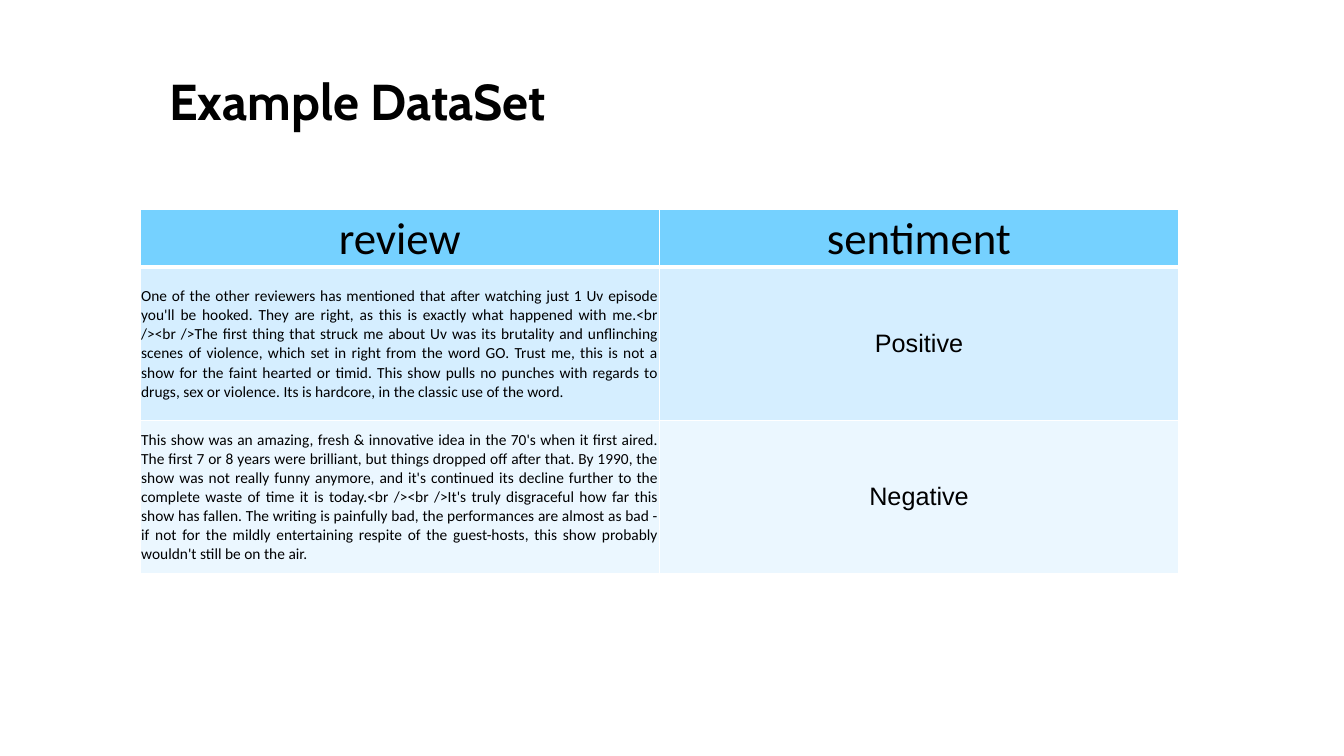
import dataclasses

import lxml.etree
import pptx
import pptx.dml.color
import pptx.enum.text
import pptx.oxml.ns
import pptx.slide
import pptx.table
import pptx.text.text
import pptx.util

Inches = pptx.util.Inches
Align = pptx.enum.text.PP_ALIGN
Anchor = pptx.enum.text.MSO_ANCHOR


@dataclasses.dataclass(frozen=True)
class Theme:
    ink: str = "000000"
    rule: str = "FFFFFF"
    header: str = "75D1FF"
    row_fills: tuple[str, ...] = ("D5EEFF", "EBF7FF")
    title_font: str = "Cabin"
    review_font: str = "Calibri"
    label_font: str = "Arial"
    title_size: int = 36
    header_size: int = 32
    review_size: int = 11
    label_size: int = 18
    thin_rule: int = 1
    thick_rule: int = 3


@dataclasses.dataclass(frozen=True)
class Grid:
    width: float = 13.33
    height: float = 7.5
    left: float = 1.39
    top: float = 2.08
    column: float = 5.15
    header_row: float = 0.57
    review_row: float = 1.52


@dataclasses.dataclass(frozen=True)
class Style:
    font: str
    size: int
    align: Align
    margins: tuple[float, float, float, float]
    bold: bool = False
    spacing: float | None = None


@dataclasses.dataclass(frozen=True)
class Example:
    review: str
    sentiment: str


THEME = Theme()
GRID = Grid()
TIGHT = (0.01, 0.01, 0.01, 0)
ROOMY = (0.1, 0.05, 0.1, 0.05)
TITLE = Style(THEME.title_font, THEME.title_size, Align.CENTER, ROOMY, True, 0.9)
HEADER = Style(THEME.review_font, THEME.header_size, Align.CENTER, TIGHT)
REVIEW = Style(THEME.review_font, THEME.review_size, Align.JUSTIFY, TIGHT)
LABEL = Style(THEME.label_font, THEME.label_size, Align.CENTER, ROOMY)

HEADINGS = ("review", "sentiment")
EXAMPLES = (
    Example(
        "One of the other reviewers has mentioned that after watching just 1 Uv episode "
        "you'll be hooked. They are right, as this is exactly what happened with me."
        "<br /><br />The first thing that struck me about Uv was its brutality and "
        "unflinching scenes of violence, which set in right from the word GO. Trust me, "
        "this is not a show for the faint hearted or timid. This show pulls no punches "
        "with regards to drugs, sex or violence. Its is hardcore, in the classic use of "
        "the word.",
        "Positive",
    ),
    Example(
        "This show was an amazing, fresh & innovative idea in the 70's when it first "
        "aired. The first 7 or 8 years were brilliant, but things dropped off after "
        "that. By 1990, the show was not really funny anymore, and it's continued its "
        "decline further to the complete waste of time it is today.<br /><br />It's "
        "truly disgraceful how far this show has fallen. The writing is painfully bad, "
        "the performances are almost as bad - if not for the mildly entertaining respite "
        "of the guest-hosts, this show probably wouldn't still be on the air.",
        "Negative",
    ),
)


def format_paragraph(paragraph: pptx.text.text._Paragraph, style: Style) -> None:
    paragraph.alignment = style.align
    if style.spacing is not None:
        paragraph.line_spacing = style.spacing
    for run in paragraph.runs:
        run.font.name = style.font
        run.font.size = pptx.util.Pt(style.size)
        run.font.bold = style.bold
        run.font.color.rgb = pptx.dml.color.RGBColor.from_string(THEME.ink)


def set_margins(holder: pptx.table._Cell | pptx.text.text.TextFrame, style: Style) -> None:
    sides = ("margin_left", "margin_top", "margin_right", "margin_bottom")
    for side, margin in zip(sides, style.margins):
        setattr(holder, side, Inches(margin))


def rule_cell(cell: pptx.table._Cell, bottom: int, top: int) -> None:
    properties = cell._tc.get_or_add_tcPr()
    widths = {"lnL": THEME.thin_rule, "lnR": THEME.thin_rule, "lnT": top, "lnB": bottom}
    for index, (edge, width) in enumerate(widths.items()):
        line = lxml.etree.Element(pptx.oxml.ns.qn(f"a:{edge}"), w=str(pptx.util.Pt(width)))
        fill = lxml.etree.SubElement(line, pptx.oxml.ns.qn("a:solidFill"))
        lxml.etree.SubElement(fill, pptx.oxml.ns.qn("a:srgbClr"), val=THEME.rule)
        properties.insert(index, line)


def fill_cell(cell: pptx.table._Cell, text: str, style: Style, colour: str) -> None:
    cell.text_frame.text = text
    cell.vertical_anchor = Anchor.MIDDLE
    set_margins(cell, style)
    format_paragraph(cell.text_frame.paragraphs[0], style)
    cell.fill.solid()
    cell.fill.fore_color.rgb = pptx.dml.color.RGBColor.from_string(colour)


def add_title(slide: pptx.slide.Slide, text: str) -> None:
    heading = slide.shapes.title
    heading.left, heading.top = Inches(0.33), Inches(0.71)
    heading.width, heading.height = Inches(6.43), Inches(0.65)
    frame = heading.text_frame
    frame.text = text
    frame.word_wrap = True
    frame.auto_size = pptx.enum.text.MSO_AUTO_SIZE.NONE
    frame.vertical_anchor = Anchor.TOP
    set_margins(frame, TITLE)
    format_paragraph(frame.paragraphs[0], TITLE)


def add_examples(slide: pptx.slide.Slide) -> None:
    heights = (GRID.header_row,) + (GRID.review_row,) * len(EXAMPLES)
    reviews = slide.shapes.add_table(
        len(heights),
        len(HEADINGS),
        Inches(GRID.left),
        Inches(GRID.top),
        Inches(GRID.column * len(HEADINGS)),
        Inches(sum(heights)),
    ).table
    for column in reviews.columns:
        column.width = Inches(GRID.column)
    for row, height in zip(reviews.rows, heights):
        row.height = Inches(height)
    for index, heading in enumerate(HEADINGS):
        fill_cell(reviews.cell(0, index), heading, HEADER, THEME.header)
    for index, (example, colour) in enumerate(zip(EXAMPLES, THEME.row_fills), start=1):
        fill_cell(reviews.cell(index, 0), example.review, REVIEW, colour)
        fill_cell(reviews.cell(index, 1), example.sentiment, LABEL, colour)
    for index, row in enumerate(reviews.rows):
        bottom = THEME.thick_rule if index == 0 else THEME.thin_rule
        top = THEME.thick_rule if index == 1 else THEME.thin_rule
        for cell in row.cells:
            rule_cell(cell, bottom, top)


def main() -> None:
    deck = pptx.Presentation()
    deck.slide_width, deck.slide_height = Inches(GRID.width), Inches(GRID.height)
    slide = deck.slides.add_slide(deck.slide_layouts.get_by_name("Title Only"))
    add_title(slide, "Example DataSet")
    add_examples(slide)
    deck.save("out.pptx")


if __name__ == "__main__":
    main()
